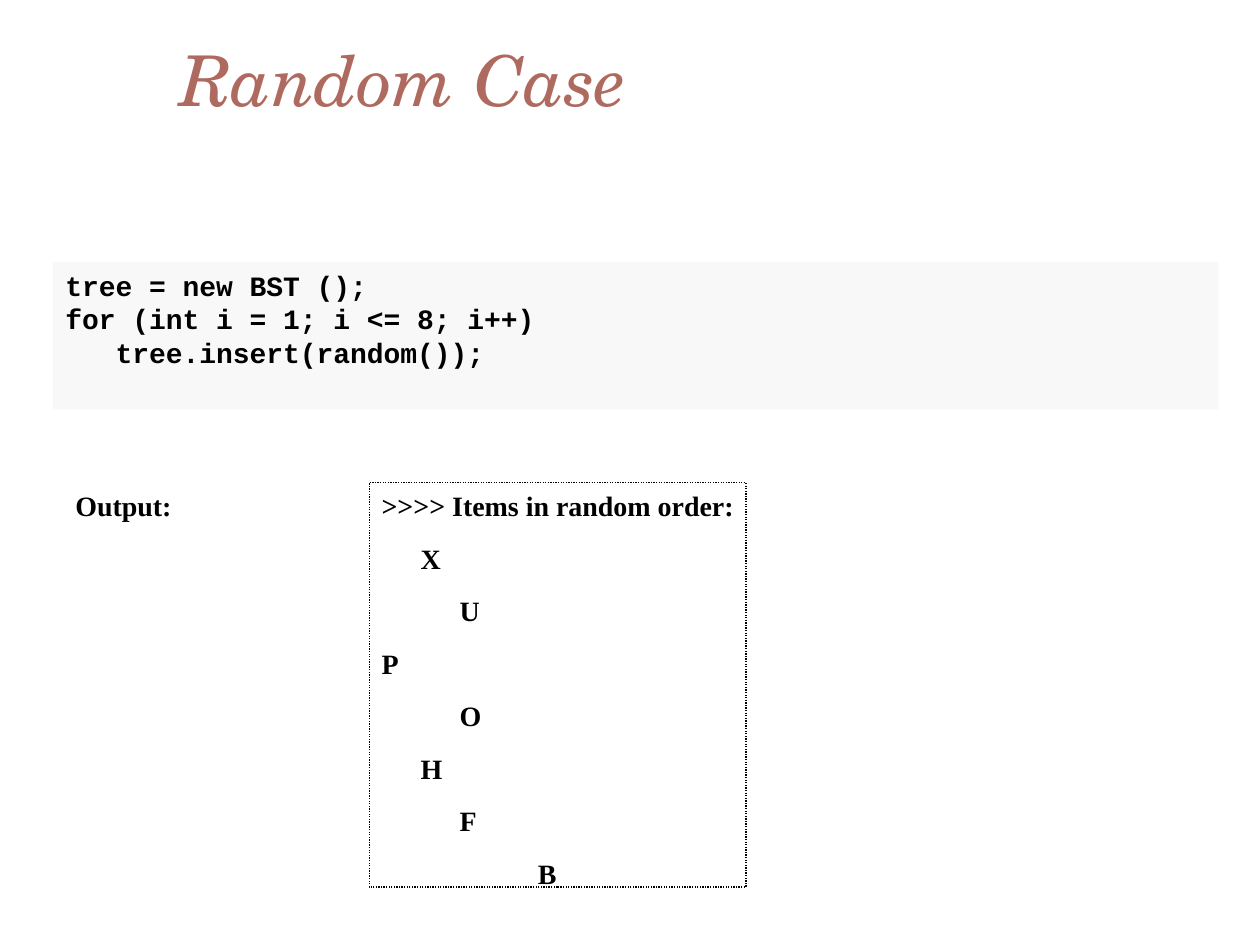
from dataclasses import dataclass

from lxml import etree
from pptx import Presentation
from pptx.dml.color import RGBColor
from pptx.enum.dml import MSO_LINE
from pptx.enum.shapes import MSO_SHAPE
from pptx.enum.text import MSO_ANCHOR, MSO_AUTO_SIZE, PP_ALIGN
from pptx.oxml.ns import qn
from pptx.util import Inches, Pt

RECT = MSO_SHAPE.RECTANGLE
DOTS = MSO_LINE.ROUND_DOT
TOP, MID = MSO_ANCHOR.TOP, MSO_ANCHOR.MIDDLE
LEFT = PP_ALIGN.LEFT
FIXED = MSO_AUTO_SIZE.NONE


@dataclass
class Theme:
    ink: RGBColor = RGBColor(0, 0, 0)
    head: RGBColor = RGBColor(0xAF, 0x6A, 0x5F)
    panel: RGBColor = RGBColor(0xF8, 0xF8, 0xF8)
    head_font: str = "TeX Gyre Schola"
    body_font: str = "Times New Roman"
    code_font: str = "Courier New"
    head_size: int = 40
    body_size: int = 16
    gap: float = 10.8


class Board:
    def __init__(self, slide, theme):
        self.slide = slide
        self.theme = theme

    def fill_text(self, frame, lines, font, gap=0, tabs=(), wrap=True):
        """Fill a frame with bold lines set from its top left."""
        frame.word_wrap = wrap
        frame.auto_size = FIXED
        frame.vertical_anchor = TOP
        for i, line in enumerate(lines):
            para = frame.add_paragraph() if i else frame.paragraphs[0]
            para.alignment = LEFT
            if tabs:
                stops = etree.SubElement(para._p.get_or_add_pPr(), qn("a:tabLst"))
                for pos in tabs:
                    etree.SubElement(stops, qn("a:tab"), pos=str(Inches(pos)), algn="l")
            if i and gap:
                para.space_before = Pt(gap)
            run = para.add_run()
            run.text = line
            run.font.name = font
            run.font.size = Pt(self.theme.body_size)
            run.font.bold = True
            run.font.color.rgb = self.theme.ink

    def title(self, text, *box):
        shape = self.slide.shapes.title
        shape.left, shape.top, shape.width, shape.height = map(Inches, box)
        frame = shape.text_frame
        frame.vertical_anchor = MID
        para = frame.paragraphs[0]
        para.alignment = LEFT
        run = para.add_run()
        run.text = text
        run.font.name = self.theme.head_font
        run.font.size = Pt(self.theme.head_size)
        run.font.italic = True
        run.font.color.rgb = self.theme.head

    def rect(self, *box):
        shape = self.slide.shapes.add_shape(RECT, *map(Inches, box))
        shape.shadow.inherit = False
        return shape

    def code(self, lines, *box):
        shape = self.rect(*box)
        shape.fill.solid()
        shape.fill.fore_color.rgb = self.theme.panel
        shape.line.fill.background()
        self.fill_text(shape.text_frame, lines, self.theme.code_font)

    def output(self, lines, tabs, *box):
        shape = self.rect(*box)
        shape.fill.background()
        shape.line.color.rgb = self.theme.ink
        shape.line.width = Pt(0.75)
        shape.line.dash_style = DOTS
        self.fill_text(shape.text_frame, lines, self.theme.body_font,
                       self.theme.gap, tabs, wrap=False)

    def label(self, text, *box):
        shape = self.slide.shapes.add_textbox(*map(Inches, box))
        self.fill_text(shape.text_frame, [text], self.theme.body_font, wrap=False)


def main():
    deck = Presentation()
    deck.slide_width, deck.slide_height = Inches(10), Inches(7.5)
    board = Board(deck.slides.add_slide(deck.slide_layouts[5]), Theme())

    # Heading
    board.title("Random Case", 1.33, 0, 8.5, 1.25)

    # Program
    board.code(["tree = new BST ();",
                "for (int i = 1; i <= 8; i++)",
                "   tree.insert(random());"], 0.42, 2.08, 9.25, 1.17)

    # Printed tree: each item is indented by its depth
    nodes = [("X", 1), ("U", 2), ("P", 0), ("O", 2), ("H", 1), ("F", 2), ("B", 3)]
    lines = [">>>> Items in random order:"]
    lines += ["\t" * depth + item for item, depth in nodes]
    board.output(lines, (0.31, 0.62, 1.24), 2.93, 3.83, 2.99, 3.21)
    board.label("Output:", 0.5, 3.83, 0.96, 0.37)

    deck.save("out.pptx")


if __name__ == "__main__":
    main()
